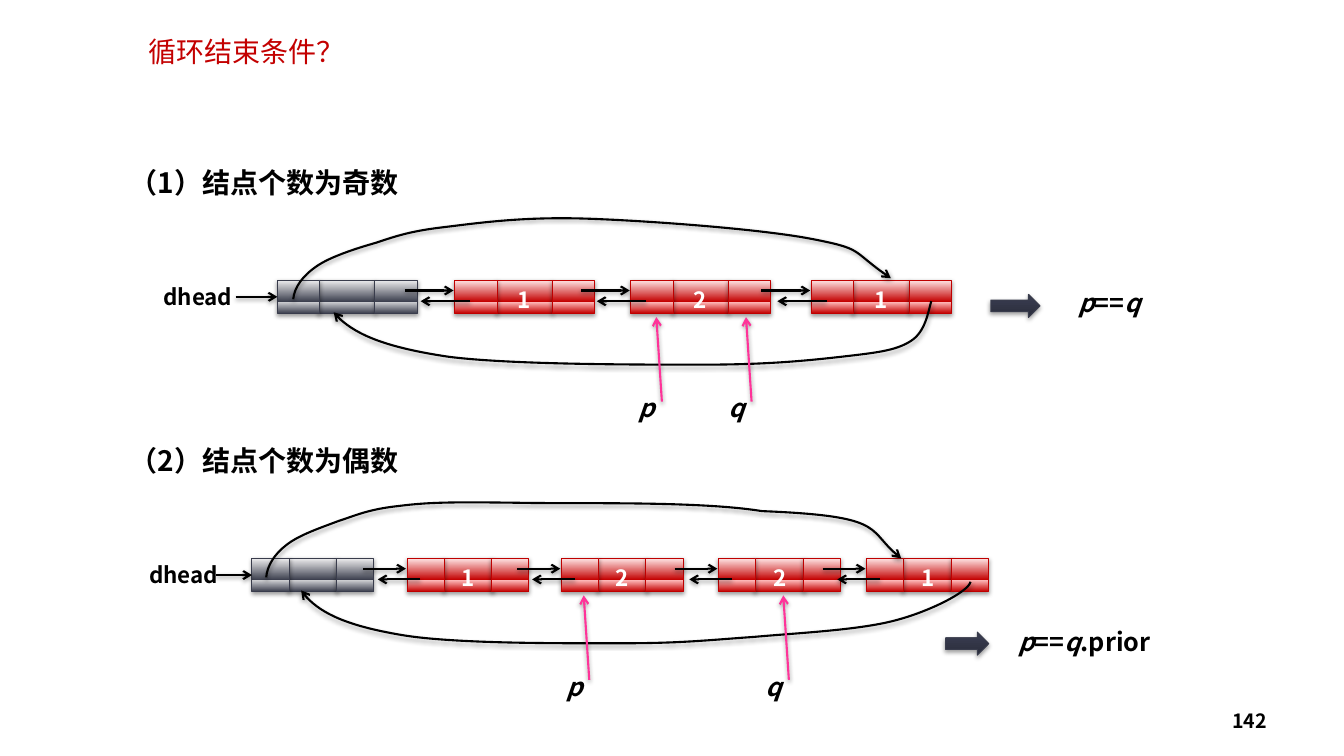
from lxml import etree
from pptx import Presentation
from pptx.dml.color import RGBColor
from pptx.enum.shapes import MSO_CONNECTOR, MSO_SHAPE
from pptx.enum.text import MSO_ANCHOR, MSO_AUTO_SIZE, PP_ALIGN
from pptx.oxml.ns import qn
from pptx.util import Cm, Pt

LEFT, CENTER, RIGHT = PP_ALIGN.LEFT, PP_ALIGN.CENTER, PP_ALIGN.RIGHT
MIDDLE, NO_AUTOFIT = MSO_ANCHOR.MIDDLE, MSO_AUTO_SIZE.NONE
RECTANGLE, RIGHT_ARROW = MSO_SHAPE.RECTANGLE, MSO_SHAPE.RIGHT_ARROW
STRAIGHT = MSO_CONNECTOR.STRAIGHT

FONT = "Noto Sans CJK SC"
BLACK = RGBColor(0x00, 0x00, 0x00)
WHITE = RGBColor(0xFF, 0xFF, 0xFF)
RED = RGBColor(0xC3, 0x00, 0x00)
RED_EDGE = RGBColor(0xBF, 0x00, 0x00)
SLATE = RGBColor(0x3B, 0x3E, 0x4D)
SLATE_EDGE = RGBColor(0x39, 0x3C, 0x4C)
PINK = RGBColor(0xFF, 0x33, 0x99)

# Gradient stops run from the bottom edge to the top edge
HEAD_STOPS = [(0, SLATE), (35, RGBColor(0xD1, 0xD2, 0xD5)),
              (35, SLATE), (100, RGBColor(0xEE, 0xEE, 0xEF))]
NODE_STOPS = [(0, RED), (35, RGBColor(0xFF, 0xBD, 0xBD)),
              (35, RED), (100, RGBColor(0xFF, 0xE6, 0xE6))]
ARROW_STOPS = [(0, RGBColor(0x2A, 0x2D, 0x3B)), (80, RGBColor(0x37, 0x3A, 0x4D)),
               (100, RGBColor(0x36, 0x3A, 0x4E))]

HEADING = {"size": Pt(20), "bold": True}
LABEL = {"size": Pt(16), "bold": True}
VARIABLE = {"size": Pt(18), "bold": True}


def write(shape, runs, font_format, color=BLACK, alignment=CENTER, margins=(0.25, 0.13)):
    """Write one paragraph made of (text, italic) runs."""
    frame = shape.text_frame
    frame.auto_size = NO_AUTOFIT
    frame.word_wrap = True
    frame.vertical_anchor = MIDDLE
    frame.margin_left = frame.margin_right = Cm(margins[0])
    frame.margin_top = frame.margin_bottom = Cm(margins[1])
    paragraph = frame.paragraphs[0]
    paragraph.alignment = alignment
    for text, italic in runs:
        run = paragraph.add_run()
        run.text = text
        for name, value in {**font_format, "italic": italic, "name": FONT}.items():
            setattr(run.font, name, value)
        run.font.color.rgb = color
        etree.SubElement(run.font._element, qn("a:ea"), typeface=FONT)
    return paragraph


def decorate(shape, color, width, stops=None, arrow=False):
    """Give a shape its outline, gradient, arrowhead and soft shadow."""
    properties = shape.element.spPr
    shape.line.color.rgb = color
    shape.line.width = Pt(width)
    if stops:
        shape.fill.gradient()
        shape.fill.gradient_angle = 90
        stop_list = properties.find(".//" + qn("a:gsLst"))
        stop_list.clear()
        for position, stop_color in stops:
            stop = etree.SubElement(stop_list, qn("a:gs"), pos=str(position * 1000))
            etree.SubElement(stop, qn("a:srgbClr"), val=str(stop_color))
    if arrow:
        etree.SubElement(properties.find(qn("a:ln")), qn("a:tailEnd"), type="arrow")
    effects = etree.SubElement(properties, qn("a:effectLst"))
    shadow = etree.SubElement(effects, qn("a:outerShdw"), blurRad="40000",
                              dist="20000", dir="5400000", rotWithShape="0")
    shadow_color = etree.SubElement(shadow, qn("a:srgbClr"), val=str(BLACK))
    etree.SubElement(shadow_color, qn("a:alpha"), val="38000")


# The two cases; lengths in centimetres
NODE_HEIGHT = 0.84
CASES = [
    {
        "heading": "（1）结点个数为奇数", "heading_top": 4.04, "heading_width": 8.05,
        "top": 7.06, "lefts": [6.99, 11.46, 15.9, 20.45], "values": ["", "1", "2", "1"],
        "cells": [(1.04, 1.43), (2.46, 1.07), (0, 1.07)],
        "dhead": (3.63, 2.72), "pointer_start": 5.94,
        "next": (-1.26, -0.03), "prior": (0.38, -0.86),
        "variables": [("p", 16.54), ("q", 18.8)], "variable_width": 1.75,
        "arrow": (24.97, 7.42, 1.24), "result": (26.21, 7.11, 3.51),
        "condition": [("p", True), ("==", False), ("q", True)],
        "curves": [
            [(23.47, 7.59), (23.39, 7.87), (23.32, 8.36), (22.96, 8.59),
             (22.58, 8.84), (22.07, 8.89), (21.21, 8.99), (20.32, 9.09),
             (19.33, 9.19), (17.68, 9.19), (16.03, 9.19), (12.85, 9.19),
             (11.3, 8.99), (9.75, 8.76), (8.79, 8.36), (8.41, 7.87)],
            [(7.39, 7.54), (7.42, 7.24), (7.62, 6.96), (7.98, 6.71),
             (8.31, 6.48), (8.94, 6.27), (9.47, 6.12), (10.01, 5.94),
             (10.36, 5.82), (11.23, 5.72), (12.12, 5.61), (13.21, 5.46),
             (14.76, 5.51), (16.28, 5.56), (19.15, 5.77), (20.45, 6.02),
             (21.74, 6.27), (21.41, 6.3), (22.45, 7.01)],
        ],
    },
    {
        "heading": "（2）结点个数为偶数", "heading_top": 11.05, "heading_width": 9.12,
        "top": 14.07, "lefts": [6.35, 10.26, 14.15, 18.11, 21.84],
        "values": ["", "1", "2", "2", "1"],
        "cells": [(0.91, 1.26), (2.13, 0.94), (0, 0.94)],
        "dhead": (3.43, 2.39), "pointer_start": 5.44,
        "next": (-1.11, -0.03), "prior": (0.33, -0.74),
        "variables": [("p", 14.71), ("q", 19.74)], "variable_width": 1.52,
        "arrow": (23.83, 15.93, 1.09), "result": (24.92, 15.65, 4.83),
        "condition": [("p", True), ("==", False), ("q", True), (".prior", False)],
        "curves": [
            [(6.71, 14.55), (6.73, 14.27), (6.91, 13.97), (7.21, 13.74),
             (7.52, 13.49), (8.05, 13.31), (8.53, 13.13), (8.99, 12.98),
             (9.3, 12.83), (10.06, 12.75), (10.82, 12.65), (11.53, 12.65),
             (13.06, 12.67), (14.61, 12.7), (17.6, 12.62), (19.2, 12.88),
             (22.23, 13), (21.82, 13.36), (22.71, 14.07)],
            [(24.46, 14.66), (24.41, 14.91), (23.42, 15.42), (22.5, 15.65),
             (21.59, 15.88), (20.12, 15.95), (19, 16.05), (17.86, 16.13),
             (17.17, 16.21), (15.7, 16.21), (14.22, 16.21), (11.46, 16.23),
             (10.11, 16), (8.76, 15.77), (7.92, 15.38), (7.59, 14.88)],
        ],
    },
]

presentation = Presentation()
presentation.slide_width, presentation.slide_height = Cm(33.87), Cm(19.05)
slide = presentation.slides.add_slide(presentation.slide_layouts[5])
shapes = slide.shapes

# Title
title = shapes.title
title.left, title.top, title.width, title.height = Cm(3.48), Cm(0.74), Cm(6.93), Cm(1.12)
write(title, [("循环结束条件？", False)], {"size": Pt(20), "bold": False}, RED, LEFT)

for case in CASES:
    top = case["top"]
    heading = shapes.add_textbox(Cm(3.02), Cm(case["heading_top"]),
                                 Cm(case["heading_width"]), Cm(1.12))
    write(heading, [(case["heading"], False)], HEADING, alignment=LEFT)

    # Head label
    left, width = case["dhead"]
    dhead = shapes.add_textbox(Cm(left), Cm(top), Cm(width), Cm(NODE_HEIGHT))
    dhead.fill.solid()
    dhead.fill.fore_color.rgb = WHITE
    write(dhead, [("dhead", False)], LABEL, margins=(0.15, 0))

    # Nodes of three cells: the value, the right link and the left link
    left_cells = []
    for node_left, value in zip(case["lefts"], case["values"]):
        for offset, width in case["cells"]:
            cell = shapes.add_shape(RECTANGLE, Cm(node_left + offset), Cm(top),
                                    Cm(width), Cm(NODE_HEIGHT))
            if value:
                decorate(cell, RED_EDGE, 0.75, NODE_STOPS)
            else:
                decorate(cell, SLATE_EDGE, 0.75, HEAD_STOPS)
            if value and offset == case["cells"][0][0]:
                paragraph = write(cell, [(value, False)], LABEL, WHITE, margins=(0.25, 0))
                paragraph.line_spacing = Pt(23)
        left_cells.append(cell)

    # Head pointer, joined to the left side of the head node
    middle = Cm(top + NODE_HEIGHT / 2)
    pointer = shapes.add_connector(STRAIGHT, Cm(case["pointer_start"]), middle,
                                   Cm(case["lefts"][0]), middle)
    pointer.end_connect(left_cells[0], 1)
    decorate(pointer, BLACK, 1.5, arrow=True)

    # Links between neighbouring nodes
    for node_left in case["lefts"][1:]:
        for (start, end), drop in ((case["next"], 0.26), (case["prior"], 0.53)):
            link = shapes.add_connector(STRAIGHT, Cm(node_left + start), Cm(top + drop),
                                        Cm(node_left + end), Cm(top + drop))
            decorate(link, BLACK, 1.5, arrow=True)

    # Curved links between the head and the last node
    for points in case["curves"]:
        start, *rest = [(Cm(x), Cm(y)) for x, y in points]
        builder = shapes.build_freeform(*start)
        builder.add_line_segments(rest, close=False)
        curve = builder.convert_to_shape()
        curve.fill.background()
        outline = curve.element.find(".//" + qn("a:pathLst"))[0]
        segments = outline.findall(qn("a:lnTo"))
        for index in range(0, len(segments), 3):
            bezier = etree.SubElement(outline, qn("a:cubicBezTo"))
            for segment in segments[index:index + 3]:
                bezier.append(segment[0])
                outline.remove(segment)
        decorate(curve, BLACK, 1.5, arrow=True)

    # Variables p and q with their arrows
    width = case["variable_width"]
    for name, tip in case["variables"]:
        variable = shapes.add_textbox(Cm(tip - 0.24 - width / 2), Cm(top + 2.86),
                                      Cm(width), Cm(0.86))
        write(variable, [(name, True)], VARIABLE).line_spacing = 0.8
        variable_arrow = shapes.add_connector(STRAIGHT, Cm(tip + 0.14), Cm(top + 3.06),
                                              Cm(tip), Cm(top + 0.93))
        decorate(variable_arrow, PINK, 1.5, arrow=True)

    # End condition
    left, arrow_top, width = case["arrow"]
    block_arrow = shapes.add_shape(RIGHT_ARROW, Cm(left), Cm(arrow_top), Cm(width), Cm(0.58))
    decorate(block_arrow, SLATE_EDGE, 0.75, ARROW_STOPS)
    left, result_top, width = case["result"]
    result = shapes.add_textbox(Cm(left), Cm(result_top), Cm(width), Cm(1.02))
    write(result, case["condition"], VARIABLE)

# Slide number
number = shapes.add_textbox(Cm(24.28), Cm(17.65), Cm(7.9), Cm(1.02))
write(number, [("142", False)], {"size": Pt(14), "bold": True}, alignment=RIGHT)

presentation.save("out.pptx")
